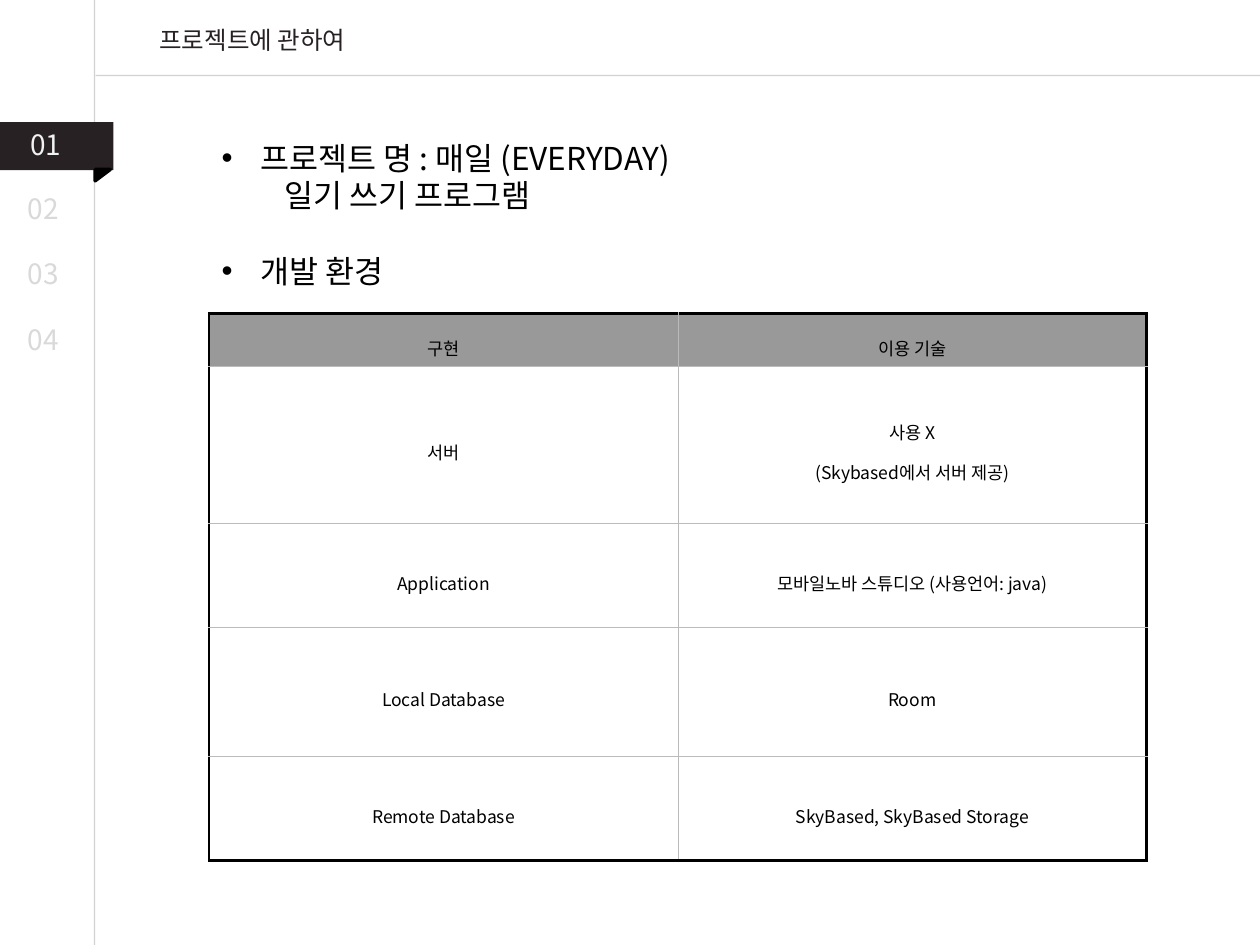
from dataclasses import dataclass

from lxml import etree
from pptx import Presentation
from pptx.dml.color import RGBColor
from pptx.enum.shapes import MSO_CONNECTOR, MSO_SHAPE
from pptx.enum.text import MSO_ANCHOR, MSO_AUTO_SIZE, PP_ALIGN
from pptx.oxml.ns import qn
from pptx.util import Inches, Pt

STRAIGHT = MSO_CONNECTOR.STRAIGHT
RECTANGLE, RIGHT_TRIANGLE = MSO_SHAPE.RECTANGLE, MSO_SHAPE.RIGHT_TRIANGLE
MIDDLE = MSO_ANCHOR.MIDDLE
FIT_SHAPE = MSO_AUTO_SIZE.SHAPE_TO_FIT_TEXT
CENTER, LEFT = PP_ALIGN.CENTER, PP_ALIGN.LEFT

FONT = "Noto Sans CJK KR"
COLORS = {
    "black": "000000", "dark": "272123", "white": "FFFFFF", "active": "F2F2F2",
    "muted": "D9D9D9", "rule": "A6A6A6", "header": "999999", "grid": "BBBBBB",
}


@dataclass
class Label:
    text: str
    left: float
    top: float
    width: float
    height: float
    size: int
    color: str
    outline: str
    align: PP_ALIGN = LEFT


@dataclass
class Line:
    text: str
    indent: float
    hanging: float = 0
    level: int = 0
    space_before: float = 0


LABELS = [
    Label("프로젝트에 관하여", 1.14, 0.15, 1.73, 0.34, 14, "dark", "black", CENTER),
    Label("01", 0.14, 0.96, 0.59, 0.37, 16, "active", "muted"),
] + [
    Label(f"{number:02}", 0.12, 1.47 + 0.52 * (number - 2), 0.49, 0.37, 16, "muted", "black")
    for number in range(2, 5)
]
BODY_SIZE = 18
BODY_LINES = [
    Line("프로젝트 명 : 매일 (EVERYDAY)", 0.31, 0.31),
    Line("일기 쓰기 프로그램", 0.5, level=1),
    Line("개발 환경", 0.31, 0.31, space_before=BODY_SIZE * 1.2),
]
TABLE_ROWS = [
    (0.42, "구현", "이용 기술"),
    (1.24, "서버", "사용 X\n(Skybased에서 서버 제공)"),
    (0.83, "Application", "모바일노바 스튜디오 (사용언어: java)"),
    (1.02, "Local Database", "Room"),
    (0.83, "Remote Database", "SkyBased, SkyBased Storage"),
]


def rgb(color: str) -> RGBColor:
    return RGBColor.from_string(COLORS[color])


def apply_format(target, values: dict) -> None:
    for name, value in values.items():
        setattr(target, name, value)


def add_solid(parent, color: str, opacity: int = 100) -> None:
    fill = etree.SubElement(parent, qn("a:solidFill"))
    shade = etree.SubElement(fill, qn("a:srgbClr"), val=COLORS[color])
    if opacity < 100:
        etree.SubElement(shade, qn("a:alpha"), val=str(opacity * 1000))


def add_span(para, text: str, size: int, color: str):
    span = para.add_run()
    span.text = text
    apply_format(span.font, {"size": Pt(size), "name": FONT, "bold": False})
    span.font.color.rgb = rgb(color)
    etree.SubElement(span.font._element, qn("a:ea"), typeface=FONT)
    return span


def add_box(slide, left: float, top: float, width: float, height: float):
    box = slide.shapes.add_textbox(Inches(left), Inches(top), Inches(width), Inches(height))
    apply_format(box.text_frame, {"word_wrap": True, "auto_size": FIT_SHAPE})
    return box.text_frame


def add_label(slide, label: Label) -> None:
    frame = add_box(slide, label.left, label.top, label.width, label.height)
    para = frame.paragraphs[0]
    apply_format(para, {"alignment": label.align, "line_spacing": Pt(label.size * 1.2)})
    span = add_span(para, label.text, label.size, label.color)
    outline = etree.Element(qn("a:ln"), w=str(Pt(0.75)))
    add_solid(outline, label.outline, 30)
    span.font._element.insert(0, outline)


def add_body(slide) -> None:
    frame = add_box(slide, 1.66, 1.05, 7.01, 1.31)
    for index, line in enumerate(BODY_LINES):
        para = frame.add_paragraph() if index else frame.paragraphs[0]
        apply_format(para, {
            "level": line.level,
            "line_spacing": Pt(BODY_SIZE * 1.2),
            "space_before": Pt(line.space_before),
        })
        properties = para._p.get_or_add_pPr()
        properties.set("marL", str(Inches(line.indent)))
        properties.set("indent", str(-Inches(line.hanging)))
        if line.hanging:
            etree.SubElement(properties, qn("a:buFont"), typeface="Arial")
            etree.SubElement(properties, qn("a:buChar"), char="•")
        add_span(para, line.text, BODY_SIZE, "black")


def add_rule(slide, start: tuple[float, float], end: tuple[float, float]) -> None:
    points = [Inches(value) for value in start + end]
    rule = slide.shapes.add_connector(STRAIGHT, *points)
    rule.line.width = Pt(0.75)
    rule.line.color.rgb = rgb("rule")
    shade = rule.line._ln.find(f".//{qn('a:srgbClr')}")
    etree.SubElement(shade, qn("a:alpha"), val="50000")
    etree.SubElement(rule._element.spPr, qn("a:effectLst"))


def add_block(slide, kind, left: float, top: float, width: float, height: float, color: str):
    block = slide.shapes.add_shape(kind, Inches(left), Inches(top), Inches(width), Inches(height))
    block.shadow.inherit = False
    block.fill.solid()
    block.fill.fore_color.rgb = rgb(color)
    block.line.fill.background()
    return block


def add_borders(cell, outer: dict[str, bool]) -> None:
    properties = cell._tc.get_or_add_tcPr()
    for index, (side, is_outer) in enumerate(outer.items()):
        border = etree.Element(qn(f"a:ln{side}"), w=str(Pt(1.7 if is_outer else 0.28)))
        add_solid(border, "black" if is_outer else "grid")
        properties.insert(index, border)


def fill_cell(cell, text: str, fill: str) -> None:
    cell.fill.solid()
    cell.fill.fore_color.rgb = rgb(fill)
    apply_format(cell, {
        "vertical_anchor": MIDDLE,
        "margin_left": Inches(0.07), "margin_right": Inches(0.07),
        "margin_top": Inches(0.02), "margin_bottom": Inches(0.02),
    })
    for index, content in enumerate(text.split("\n")):
        para = cell.text_frame.add_paragraph() if index else cell.text_frame.paragraphs[0]
        apply_format(para, {"alignment": CENTER, "line_spacing": 1.6})
        add_span(para, content, 10, "black")


def add_environment_table(slide) -> None:
    last = len(TABLE_ROWS) - 1
    table = slide.shapes.add_table(
        len(TABLE_ROWS), 2, Inches(1.66), Inches(2.49), Inches(7.44), Inches(4.34)
    ).table
    apply_format(table, {"first_row": False, "horz_banding": False})
    for row, (height, *texts) in enumerate(TABLE_ROWS):
        table.rows[row].height = Inches(height)
        for column, text in enumerate(texts):
            cell = table.cell(row, column)
            fill_cell(cell, text, "white" if row else "header")
            add_borders(cell, {"L": column == 0, "R": column == 1, "T": row == 0, "B": row == last})


def main() -> None:
    deck = Presentation()
    apply_format(deck, {"slide_width": Inches(10), "slide_height": Inches(7.5)})
    page = deck.slides.add_slide(deck.slide_layouts[6])
    add_rule(page, (0.75, -0.41), (0.75, 7.77))
    add_rule(page, (10.92, 0.6), (0.76, 0.6))
    add_block(page, RECTANGLE, -0.01, 0.97, 0.91, 0.38, "dark")
    fold = add_block(page, RIGHT_TRIANGLE, 0.77, 1.33, 0.09, 0.12, "black")
    fold.rotation = 90
    fold.line.color.rgb = rgb("black")
    fold.line.width = Pt(2)
    for label in LABELS:
        add_label(page, label)
    add_body(page)
    add_environment_table(page)
    deck.save("out.pptx")


if __name__ == "__main__":
    main()
